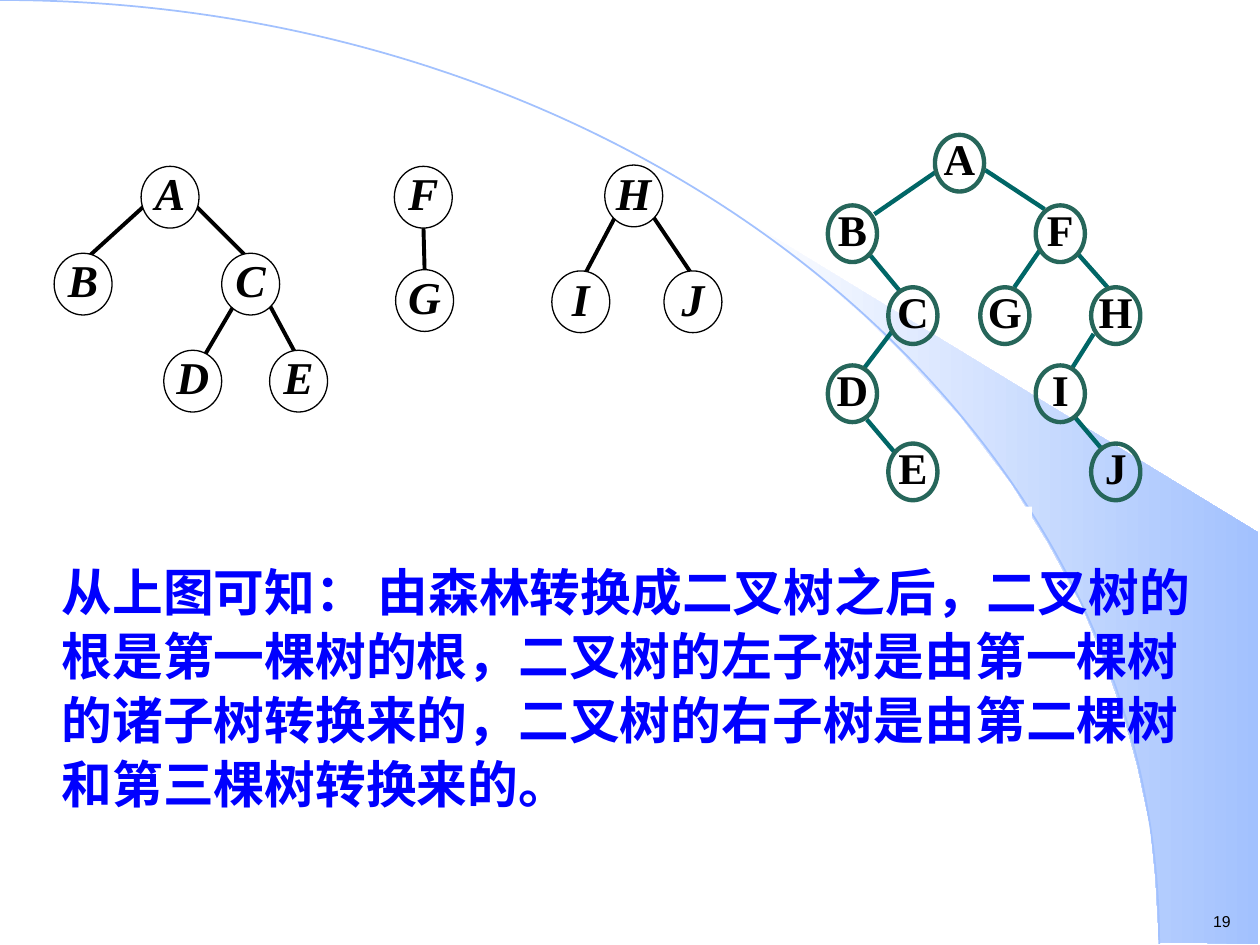
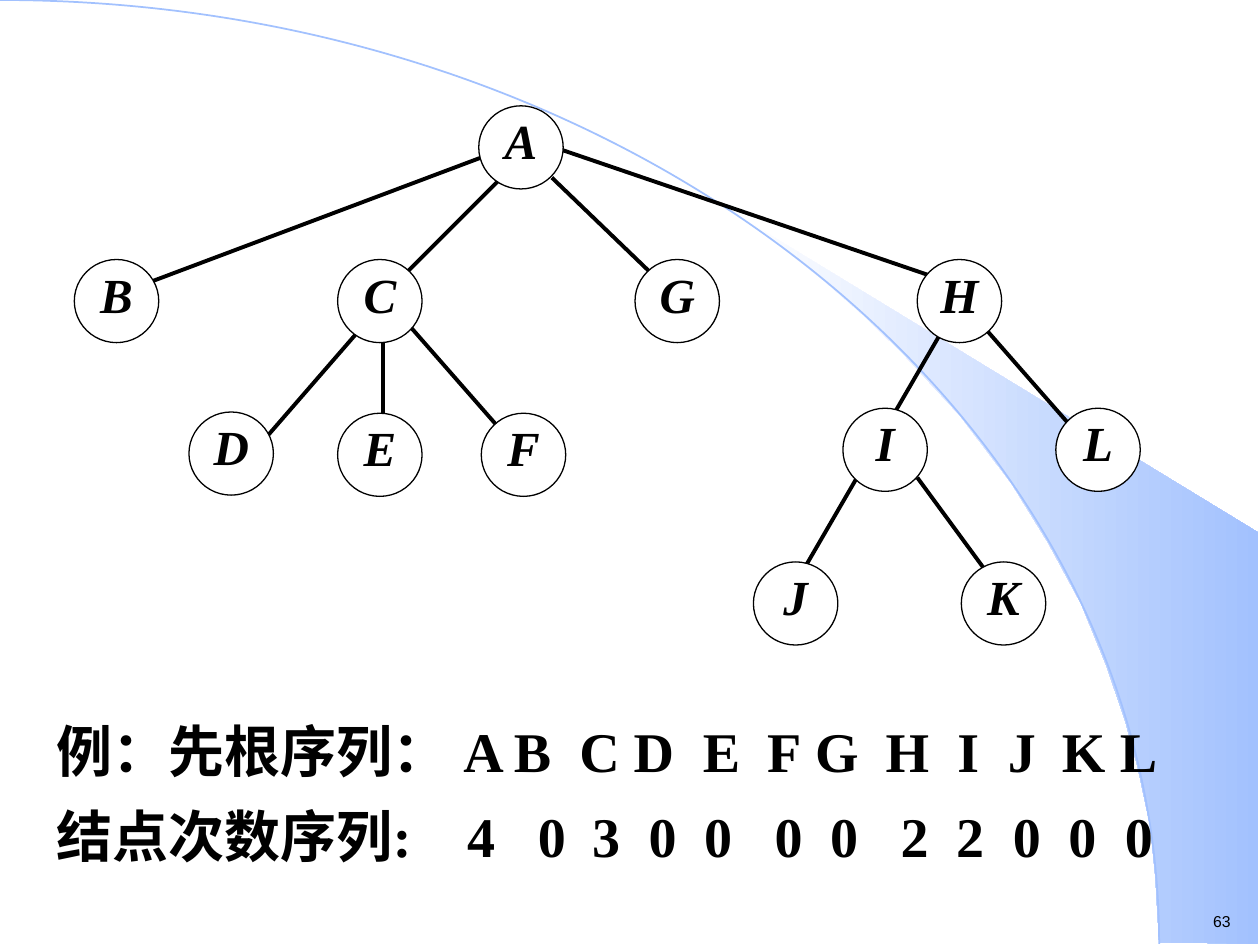
from dataclasses import dataclass, replace

from lxml import etree
from pptx import Presentation
from pptx import util as u
from pptx.dml.color import RGBColor
from pptx.enum import shapes, text
from pptx.oxml.ns import qn

# The slide is a grid of 100 columns by 75 rows of square cells.
COLUMNS, ROWS = 100, 75
CELL = u.Inches(0.1)


def rgb(value):
    return RGBColor.from_string(value)


@dataclass(frozen=True)
class Theme:
    serif: str = "Times New Roman"
    sans: str = "Arial"
    black: RGBColor = rgb("000000")
    white: RGBColor = rgb("FFFFFF")
    sky: RGBColor = rgb("A2C1FE")
    blue: RGBColor = rgb("0000FF")
    teal: RGBColor = rgb("006666")
    ring: RGBColor = rgb("26665A")
    number_size: float = 9
    conclusion_size: float = 29
    sequence_size: float = 32


THEME = Theme()


@dataclass(frozen=True)
class TreeStyle:
    node_width: float
    node_height: float
    size: float
    spacing: object
    bottom_margin: float = 0
    italic: bool = True
    filled: bool = True
    outline: RGBColor = THEME.black
    outline_width: float = 0.75
    edge: RGBColor = THEME.black
    edge_width: float = 2.25


FOREST = TreeStyle(4.6, 4.9, 26, u.Pt(26))
LOOSE_FOREST = replace(FOREST, spacing=u.Pt(27.5))
BINARY = TreeStyle(3.9, 4.5, 25, 0.8, italic=False, filled=False,
                   outline=THEME.ring, outline_width=2.5,
                   edge=THEME.teal, edge_width=2.5)
GENERAL = TreeStyle(6.7, 6.6, 28, 0.9, bottom_margin=0.6)


@dataclass(frozen=True)
class Tree:
    """Nodes are top left corners and edges are end points, from the origin."""
    origin: tuple
    nodes: dict
    edges: list
    style: TreeStyle


FOREST_TREES = [
    Tree((4.3, 13.2),
         {"A": (6.9, 0), "B": (0, 6.9), "C": (13.3, 6.9),
          "D": (8.7, 14.6), "E": (17.1, 14.6)},
         [(7.2, 3.1, 2.8, 7.1), (11, 2.9, 15.2, 7.1),
          (14.7, 10.3, 12, 14.9), (16.5, 9.9, 19.4, 15.3)],
         FOREST),
    Tree((31.3, 13.2), {"F": (0, 0), "G": (0.1, 8.2)},
         [(2.3, 4.5, 2.4, 8.2)], FOREST),
    Tree((43.8, 13.1), {"H": (4.2, 0), "I": (0, 8.4), "J": (8.9, 8.4)},
         [(5.3, 3.6, 2.6, 8.7), (7.7, 3.6, 11.2, 8.8)], LOOSE_FOREST),
]
BINARY_TREE = Tree(
    (65.7, 10.7),
    {"A": (8.5, 0), "B": (0, 5.6), "F": (16.5, 5.6), "C": (4.8, 12.1),
     "G": (12.1, 12.1), "H": (20.9, 12.1), "D": (0, 18.3),
     "I": (16.5, 18.3), "E": (4.8, 24.5), "J": (20.9, 24.5)},
    [(8.5, 3, 3.7, 6.3), (12.5, 2.8, 17.2, 5.9), (3.4, 9.6, 5.8, 12.5),
     (5.1, 15.6, 2.9, 18.5), (3.1, 22.6, 5.3, 25.2), (16.8, 9.2, 14.8, 12.1),
     (19.8, 9.4, 22.2, 12.1), (21.1, 15.8, 19.4, 18.5),
     (19.6, 22.4, 21.8, 25)],
    BINARY)
GENERAL_TREE = Tree(
    (5.9, 8.4),
    {"A": (32.1, 0), "B": (0, 12.2), "C": (20.9, 12.2), "G": (44.5, 12.2),
     "H": (66.9, 12.2), "D": (9.1, 24.3), "E": (20.9, 24.4),
     "F": (32.3, 24.4), "I": (61, 24), "L": (77.9, 24),
     "J": (53.9, 36.2), "K": (70.4, 36.2)},
    [(32.3, 4.1, 5.7, 14.1), (34.1, 5.5, 26.2, 13.4), (37.9, 5.7, 45.9, 13.4),
     (38.7, 3.5, 67.7, 13.4), (24.8, 15.3, 14.2, 27.5),
     (24.5, 15.2, 24.5, 27.3), (24.8, 15.4, 35.4, 27.5),
     (70.3, 15.4, 56.2, 39.7), (70.3, 15.4, 80.9, 27.5),
     (66.9, 29.5, 72.4, 37)],
    GENERAL)

CONCLUSION = ("从上图可知： 由森林转换成二叉树之后，二叉树的根是第一棵树的根，"
              "二叉树的左子树是由第一棵树的诸子树转换来的，"
              "二叉树的右子树是由第二棵树和第三棵树转换来的。")
# Each sequence: label, items, tab stops in columns, line spacing.
SEQUENCES = [
    ("例：先根序列：", "ABCDEFGHIJKL",
     (32.3, 36.3, 41.5, 45.8, 51.3, 56.4, 60.2, 65.8, 71.5, 75.5, 79.8, 84.4),
     1.0),
    ("结点次数序列:", "403000022000",
     (32.6, 38.2, 42.5, 47, 51.4, 57, 61.4, 67, 71.4, 75.9, 80.3, 84.8),
     1.1),
]
ARC = [(0, 0), (50.8, 0), (92, 33.5), (92, 74.9)]
BAND = [(92, 74.8), (99.9, 74.9), (99.9, 42.3), (58.9, 17.3), (62.4, 19.9),
        (65.3, 22.2), (68.5, 25), (71.6, 28), (76.2, 33), (80.3, 38.4),
        (83.2, 43.1), (85.8, 47.9), (87.8, 52.8), (89.3, 57.2), (90.3, 60.9),
        (91.3, 65.6), (91.7, 69.6)]


def cells(*counts):
    return [int(count * CELL) for count in counts]


def add_text(paragraph, content, size, color, font=THEME.serif,
             bold=True, italic=False):
    run = paragraph.add_run()
    run.text = content
    run.font.name, run.font.size = font, u.Pt(size)
    run.font.bold, run.font.italic = bold, italic
    run.font.color.rgb = color


def add_text_box(slide, box, wrap=True):
    frame = slide.shapes.add_textbox(*cells(*box)).text_frame
    frame.word_wrap = wrap
    return frame


def add_outline(slide, points, close):
    start, *others = [cells(*point) for point in points]
    builder = slide.shapes.build_freeform(*start)
    builder.add_line_segments(others, close=close)
    shape = builder.convert_to_shape()
    shape.shadow.inherit = False
    return shape


def bend(shape):
    """Turn the three straight segments of an outline into one cubic curve."""
    outline = next(shape.element.iter(qn("a:path")))
    curve = etree.SubElement(outline, qn("a:cubicBezTo"))
    for segment in outline.findall(qn("a:lnTo")):
        curve.append(segment[0])
        outline.remove(segment)


def add_backdrop(presentation, slide):
    """Draw the band and the arc, then hand them to the slide master."""
    band = add_outline(slide, BAND, True)
    band.line.fill.background()
    band.fill.gradient()
    band.fill.gradient_angle = 0
    for stop, color in zip(band.fill.gradient_stops, (THEME.white, THEME.sky)):
        stop.color.rgb = color

    arc = add_outline(slide, ARC, False)
    bend(arc)
    arc.fill.background()
    arc.line.color.rgb = THEME.sky
    arc.line.width = u.Pt(1)

    tree = presentation.slide_master.element.cSld.spTree
    for offset, shape in enumerate((band, arc)):
        shape.element.nvSpPr.cNvPr.set("id", str(100 + offset))
        tree.insert(2 + offset, shape.element)


def add_slide_number(slide, number):
    frame = add_text_box(slide, (95.3, 71.9, 3.5, 2.5), wrap=False)
    add_text(frame.paragraphs[0], number, THEME.number_size, THEME.black,
             THEME.sans, bold=False)


def add_edge(slide, ends, style):
    line = slide.shapes.add_connector(shapes.MSO_CONNECTOR.STRAIGHT, *cells(*ends))
    line.line.color.rgb = style.edge
    line.line.width = u.Pt(style.edge_width)
    etree.SubElement(line.element.spPr, qn("a:effectLst"))


def add_node(slide, left, top, letter, style):
    node = slide.shapes.add_shape(
        shapes.MSO_SHAPE.OVAL,
        *cells(left, top, style.node_width, style.node_height))
    node.shadow.inherit = False
    if style.filled:
        node.fill.solid()
        node.fill.fore_color.rgb = THEME.white
    else:
        node.fill.background()
    node.line.color.rgb = style.outline
    node.line.width = u.Pt(style.outline_width)

    frame = node.text_frame
    frame.margin_left = frame.margin_right = frame.margin_top = 0
    frame.margin_bottom = cells(style.bottom_margin)[0]
    frame.word_wrap = False
    frame.vertical_anchor = text.MSO_ANCHOR.MIDDLE
    paragraph = frame.paragraphs[0]
    paragraph.alignment = text.PP_ALIGN.CENTER
    paragraph.line_spacing = style.spacing
    add_text(paragraph, letter, style.size, THEME.black, italic=style.italic)


def add_tree(slide, tree):
    left, top = tree.origin
    for x1, y1, x2, y2 in tree.edges:
        add_edge(slide, (left + x1, top + y1, left + x2, top + y2), tree.style)
    for letter, (x, y) in tree.nodes.items():
        add_node(slide, left + x, top + y, letter, tree.style)


def add_cover_patch(slide, box):
    patch = slide.shapes.add_shape(shapes.MSO_SHAPE.RECTANGLE, *cells(*box))
    patch.shadow.inherit = False
    patch.fill.solid()
    patch.fill.fore_color.rgb = THEME.white
    patch.line.fill.background()


def add_conclusion(slide, box):
    paragraph = add_text_box(slide, box).paragraphs[0]
    paragraph.line_spacing = 1.05
    add_text(paragraph, CONCLUSION, THEME.conclusion_size, THEME.blue)


def set_tab_stops(paragraph, stops):
    tabs = etree.SubElement(paragraph._p.get_or_add_pPr(), qn("a:tabLst"))
    for position in cells(*stops):
        etree.SubElement(tabs, qn("a:tab"), pos=str(position), algn="l")


def add_sequences(slide, box):
    frame = add_text_box(slide, box)
    for index, (label, items, stops, spacing) in enumerate(SEQUENCES):
        paragraph = frame.add_paragraph() if index else frame.paragraphs[0]
        set_tab_stops(paragraph, stops)
        paragraph.line_spacing = spacing
        if index:
            paragraph.space_before = u.Pt(0.2 * THEME.sequence_size)
        add_text(paragraph, "\t".join([label, *items]),
                 THEME.sequence_size, THEME.black)


def build_forest_slide(slide):
    add_slide_number(slide, "19")
    add_tree(slide, BINARY_TREE)
    add_cover_patch(slide, (75.7, 40.2, 6.2, 3.1))
    add_cover_patch(slide, (31.2, 35.5, 8.2, 3))
    for tree in FOREST_TREES:
        add_tree(slide, tree)
    add_conclusion(slide, (3.9, 43.8, 93.3, 21.3))


def build_sequence_slide(slide):
    add_slide_number(slide, "63")
    add_tree(slide, GENERAL_TREE)
    add_sequences(slide, (3.5, 56.4, 92.5, 13.4))


def main():
    presentation = Presentation()
    presentation.slide_width, presentation.slide_height = cells(COLUMNS, ROWS)
    blank = presentation.slide_layouts[6]
    forest_slide = presentation.slides.add_slide(blank)
    add_backdrop(presentation, forest_slide)
    build_forest_slide(forest_slide)
    build_sequence_slide(presentation.slides.add_slide(blank))
    presentation.save("out.pptx")


if __name__ == "__main__":
    main()
